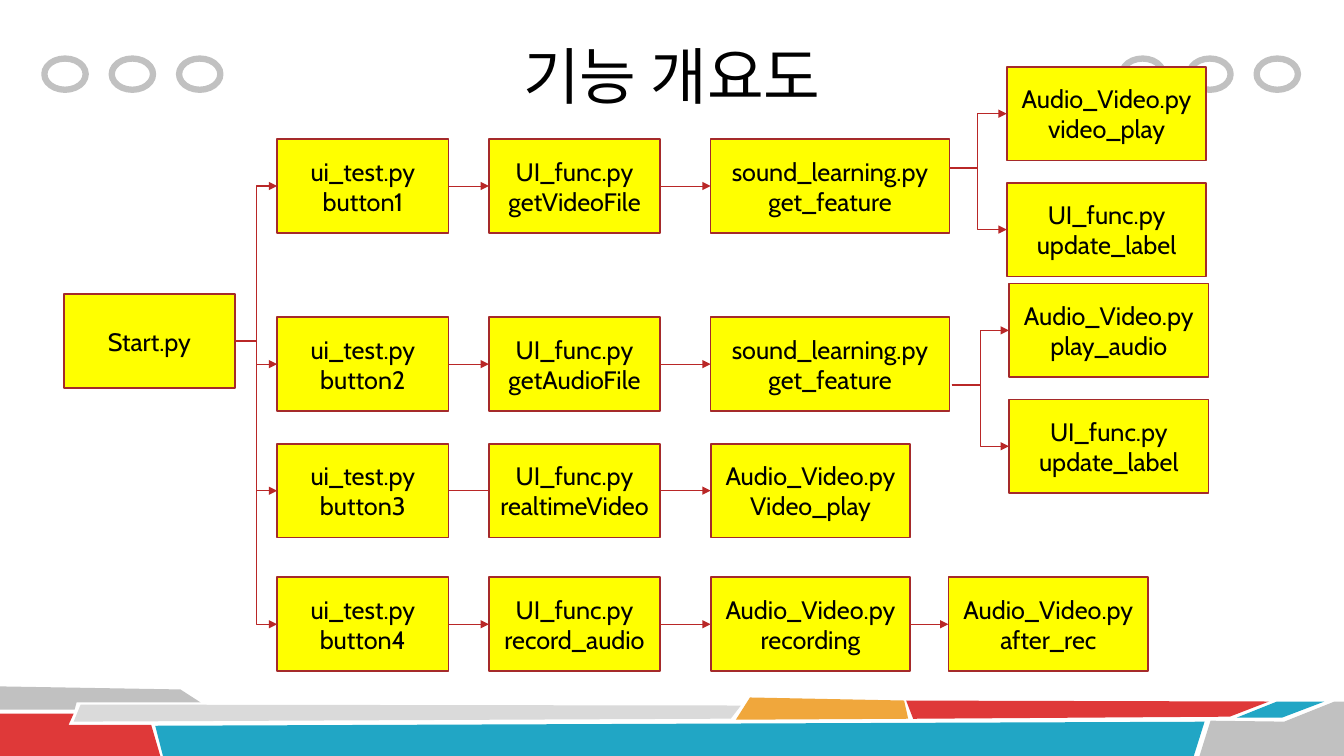
"""Build the slide that maps how each button reaches its functions."""
from dataclasses import dataclass
from typing import Any

from lxml.etree import SubElement
from pptx import Presentation
from pptx.dml.color import RGBColor
from pptx.enum.shapes import MSO_CONNECTOR as Connector, MSO_SHAPE as Preset
from pptx.enum.text import MSO_ANCHOR as Anchor, MSO_AUTO_SIZE as AutoSize, PP_ALIGN as Align
from pptx.oxml.ns import qn
from pptx.util import Pt


@dataclass(frozen=True)
class Theme:
    ink: str = "000000"
    box_fill: str = "FFFF00"
    box_line: str = "A52A2A"
    arrow: str = "B92727"
    grey: str = "C1C1C1"
    pale: str = "DADADA"
    red: str = "DF3939"
    blue: str = "21A6C5"
    orange: str = "F0A73C"
    title_font: str = "Calibri"
    box_font: str = "Cabin"
    title_size: float = 44
    box_size: float = 18
    box_weight: float = 1.25
    arrow_weight: float = 0.75
    ring_weight: float = 4.5


@dataclass(frozen=True)
class Band:
    color: str
    corners: tuple[tuple[float, float], ...]


@dataclass(frozen=True)
class Step:
    text: str
    width: float = 122.4
    arrow_in: bool = True


@dataclass(frozen=True)
class Row:
    top: float
    steps: tuple[Step, ...]
    results: tuple[Step, ...] = ()
    results_left: float = 0
    results_top: float = 0
    fork_left: float = 0
    fork_top: float = 0


THEME = Theme()
WIDE, WIDER = 142.6, 170.6
BOX_HEIGHT = 67
RESULT_PITCH = 82.8
COLUMN_LEFTS = (198, 349.2, 507.6, 677.5)
RING_LEFTS = (31.7, 801.4)
RING_PITCH = 48.1

BANDS = (
    Band(THEME.grey, ((0, 490.3), (128.9, 492.5), (143.3, 501.8), (54.7, 501.8), (53.3, 506.9), (0, 506.9))),
    Band(THEME.red, ((0, 509.8), (52.6, 509.8), (49, 517.7), (108, 517.7), (114.5, 540), (0, 540))),
    Band(THEME.pale, ((57.6, 503.3), (529.2, 504), (522, 513.4), (52.6, 515.5))),
    Band(THEME.blue, ((110.9, 518.4), (860.4, 515.5), (852.5, 540.7), (116.6, 540.7))),
    Band(THEME.orange, ((535.7, 498.2), (645.8, 500.4), (648.7, 513.4), (525.6, 514.1))),
    Band(THEME.red, ((647.3, 500.4), (906.5, 501.1), (878.4, 511.9), (652.3, 513.4))),
    Band(THEME.blue, ((912.2, 501.1), (946.1, 501.1), (915.8, 512.6), (883.4, 512.6))),
    Band(THEME.grey, ((864.7, 514.8), (917.3, 515.5), (953.3, 501.1), (960, 501.1), (960, 540), (856.8, 540))),
)

ROWS = (
    Row(99.4,
        (Step("ui_test.py\nbutton1"), Step("UI_func.py\ngetVideoFile"),
         Step("sound_learning.py\nget_feature", WIDER)),
        (Step("Audio_Video.py\nvideo_play", WIDE), Step("UI_func.py\nupdate_label", WIDE)),
        719.1, 47.7, 677.9, 120),
    Row(226.6,
        (Step("ui_test.py\nbutton2"), Step("UI_func.py\ngetAudioFile"),
         Step("sound_learning.py\nget_feature", WIDER)),
        (Step("Audio_Video.py\nplay_audio", WIDE), Step("UI_func.py\nupdate_label", WIDE)),
        720.7, 202.5, 679.7, 275),
    Row(317,
        (Step("ui_test.py\nbutton3"), Step("UI_func.py\nrealtimeVideo", arrow_in=False),
         Step("Audio_Video.py\nVideo_play", WIDE))),
    Row(412.4,
        (Step("ui_test.py\nbutton4"), Step("UI_func.py\nrecord_audio"),
         Step("Audio_Video.py\nrecording", WIDE), Step("Audio_Video.py\nafter_rec", WIDE))),
)


def assign(target: Any, values: dict[str, Any]) -> None:
    """Set each named attribute of the target."""
    for name, value in values.items():
        setattr(target, name, value)


def write(shape: Any, text: str, font: str, size: float) -> None:
    """Put centred lines of text in a shape."""
    frame = shape.text_frame
    frame.text = text
    assign(frame, {"vertical_anchor": Anchor.MIDDLE, "auto_size": AutoSize.NONE})
    for para in frame.paragraphs:
        para.alignment = Align.CENTER
        for span in para.runs:
            assign(span.font, {"name": font, "size": Pt(size), "bold": False})
            span.font.color.rgb = RGBColor.from_string(THEME.ink)


def outline(shape: Any, color: str, weight: float) -> None:
    """Give a shape or connector a solid line."""
    shape.line.color.rgb = RGBColor.from_string(color)
    shape.line.width = Pt(weight)


def paint(shape: Any, color: str) -> None:
    """Fill a shape and drop its shadow."""
    shape.shadow.inherit = False
    shape.fill.solid()
    shape.fill.fore_color.rgb = RGBColor.from_string(color)


def draw_band(page: Any, band: Band) -> None:
    """Draw one piece of the footer ribbon."""
    first, *others = [(Pt(left), Pt(top)) for left, top in band.corners]
    builder = page.shapes.build_freeform(*first)
    builder.add_line_segments(others, close=True)
    shape = builder.convert_to_shape()
    paint(shape, band.color)
    shape.line.fill.background()


def draw_ring(page: Any, left: float) -> None:
    """Draw one grey ring beside the title."""
    ring = page.shapes.add_shape(Preset.OVAL, Pt(left), Pt(41.8), Pt(29.5), Pt(22.3))
    ring.shadow.inherit = False
    ring.fill.background()
    outline(ring, THEME.grey, THEME.ring_weight)


def draw_step(page: Any, step: Step, left: float, top: float) -> Any:
    """Draw one yellow box and return it."""
    box = page.shapes.add_shape(Preset.RECTANGLE, Pt(left), Pt(top), Pt(step.width), Pt(BOX_HEIGHT))
    paint(box, THEME.box_fill)
    outline(box, THEME.box_line, THEME.box_weight)
    write(box, step.text, THEME.box_font, THEME.box_size)
    box.text_frame.word_wrap = False
    return box


def draw_link(page: Any, kind: Any, start: tuple[int, int], target: Any, arrow: bool = True) -> Any:
    """Draw a connector from a point to the left side of a box."""
    link = page.shapes.add_connector(kind, *start, target.left, target.top + target.height // 2)
    link.end_connect(target, 1)
    outline(link, THEME.arrow, THEME.arrow_weight)
    if arrow:
        SubElement(link.line._get_or_add_ln(), qn("a:tailEnd"), type="triangle")
    SubElement(link._element.spPr, qn("a:effectLst"))
    return link


def join(page: Any, kind: Any, source: Any, target: Any, arrow: bool = True) -> None:
    """Link the right side of one box to the left side of the next."""
    start = (source.left + source.width, source.top + source.height // 2)
    draw_link(page, kind, start, target, arrow).begin_connect(source, 3)


def draw_row(page: Any, row: Row, start_box: Any) -> None:
    """Draw a chain of boxes with its links and its forked results."""
    boxes = [draw_step(page, step, left, row.top) for step, left in zip(row.steps, COLUMN_LEFTS)]
    join(page, Connector.ELBOW, start_box, boxes[0])
    for source, target, step in zip(boxes, boxes[1:], row.steps[1:]):
        join(page, Connector.STRAIGHT, source, target, step.arrow_in)
    for index, step in enumerate(row.results):
        box = draw_step(page, step, row.results_left, row.results_top + index * RESULT_PITCH)
        draw_link(page, Connector.ELBOW, (Pt(row.fork_left), Pt(row.fork_top)), box)


def main() -> None:
    """Assemble the deck and save it."""
    deck = Presentation()
    assign(deck, {"slide_width": Pt(960), "slide_height": Pt(540)})
    page = deck.slides.add_slide(deck.slide_layouts[5])
    title = page.shapes.title
    assign(title, {"left": Pt(168), "top": Pt(8.6), "width": Pt(624), "height": Pt(90)})
    write(title, "기능 개요도", THEME.title_font, THEME.title_size)
    for band in BANDS:
        draw_band(page, band)
    for group_left in RING_LEFTS:
        for index in range(3):
            draw_ring(page, group_left + index * RING_PITCH)
    start_box = draw_step(page, Step("Start.py"), 45.5, 210.1)
    for row in ROWS:
        draw_row(page, row, start_box)
    deck.save("out.pptx")


if __name__ == "__main__":
    main()
